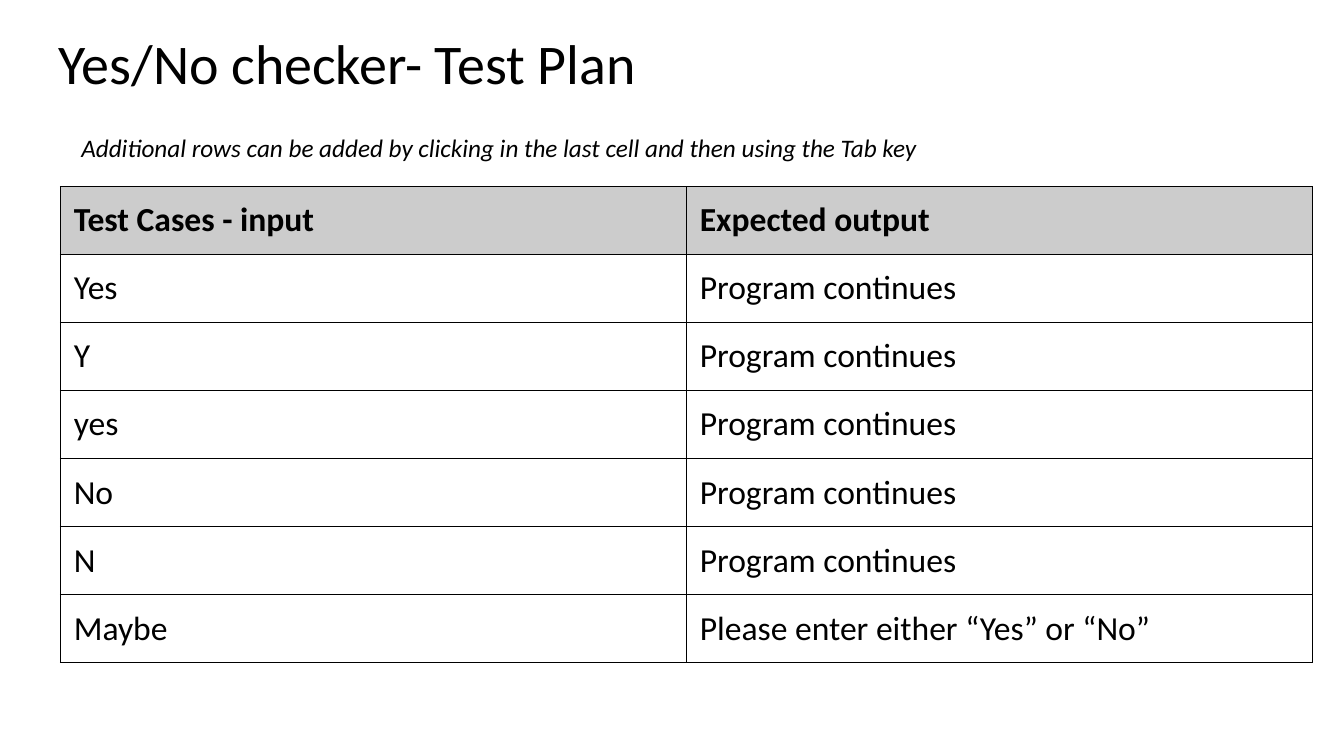
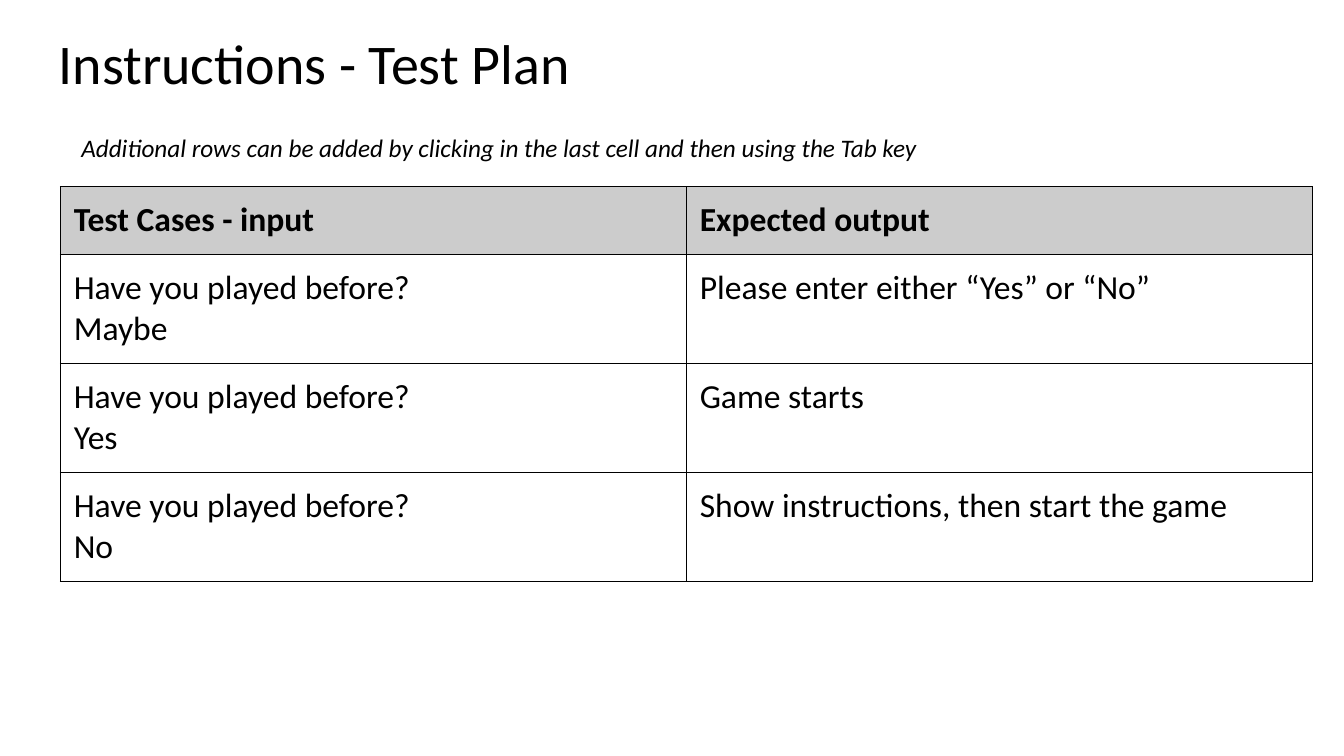
from lxml import etree
from pptx import Presentation
from pptx.dml.color import RGBColor
from pptx.enum.text import MSO_ANCHOR, MSO_AUTO_SIZE, PP_ALIGN
from pptx.oxml.ns import qn
from pptx.util import Cm, Pt

LEFT = PP_ALIGN.LEFT
TOP = MSO_ANCHOR.TOP
MIDDLE = MSO_ANCHOR.MIDDLE
NO_FIT = MSO_AUTO_SIZE.NONE

FONT = "Calibri"
BLACK = "000000"
WHITE = "FFFFFF"
GREY = "CCCCCC"
TITLE_ONLY = 5

WIDTH = 31.55
INSET = 0.34
ROW = 1.71
LINE = 1.03

HINT = ("Additional rows can be added by clicking in the last cell "
        "and then using the Tab key")
HEAD = ("Test Cases - input", "Expected output")
GO_ON = "Program continues"
RETRY = "Please enter either “Yes” or “No”"
ASK = "Have you played before?\n"

PLANS = [
    ("Yes/No checker- Test Plan",
     [(word, GO_ON) for word in ("Yes", "Y", "yes", "No", "N")]
     + [("Maybe", RETRY)]),
    ("Instructions - Test Plan",
     [(ASK + "Maybe", RETRY),
      (ASK + "Yes", "Game starts"),
      (ASK + "No", "Show instructions, then start the game")]),
]


def color(code):
    return RGBColor.from_string(code)


def write(frame, text, size=24, bold=False, italic=False, space=None):
    """Put text in a frame, one paragraph for each line."""
    frame.text = text
    for para in frame.paragraphs:
        para.alignment = LEFT
        para.line_spacing = space
        for run in para.runs:
            font = run.font
            font.name = FONT
            font.size = Pt(size)
            font.bold = bold
            font.italic = italic
            font.color.rgb = color(BLACK)


def pad(item):
    """Give a cell or a text frame the same inset on all sides."""
    item.margin_left = item.margin_right = Cm(INSET)
    item.margin_top = item.margin_bottom = Cm(INSET)


def border(cell, width=0.75):
    props = cell._tc.get_or_add_tcPr()
    for place, side in enumerate(("lnL", "lnR", "lnT", "lnB")):
        line = etree.Element(qn("a:" + side), w=str(Pt(width)))
        fill = etree.SubElement(line, qn("a:solidFill"))
        etree.SubElement(fill, qn("a:srgbClr"), val=BLACK)
        props.insert(place, line)


class Deck:
    def __init__(self):
        self.show = Presentation()
        self.show.slide_width = Cm(33.87)
        self.show.slide_height = Cm(19.05)
        self.slide = None

    def add(self):
        layout = self.show.slide_layouts[TITLE_ONLY]
        self.slide = self.show.slides.add_slide(layout)

    def title(self, text):
        shape = self.slide.shapes.title
        shape.left, shape.top = Cm(1.14), Cm(0.61)
        shape.width, shape.height = Cm(WIDTH), Cm(2.13)
        frame = shape.text_frame
        frame.auto_size = NO_FIT
        frame.vertical_anchor = MIDDLE
        pad(frame)
        write(frame, text, size=40, space=0.9)

    def table(self, rows):
        heights = [ROW + LINE * max(text.count("\n") for text in row)
                   for row in rows]
        grid = self.slide.shapes.add_table(
            len(rows), len(HEAD), Cm(1.52), Cm(4.7),
            Cm(WIDTH), Cm(sum(heights))).table
        grid.horz_banding = False
        grid.first_row = False
        for r, row in enumerate(rows):
            grid.rows[r].height = Cm(heights[r])
            for c, text in enumerate(row):
                self.cell(grid.cell(r, c), text, head=r == 0)

    def cell(self, cell, text, head):
        cell.fill.solid()
        cell.fill.fore_color.rgb = color(GREY if head else WHITE)
        cell.vertical_anchor = TOP
        pad(cell)
        border(cell)
        write(cell.text_frame, text, bold=head)

    def hint(self, text):
        box = self.slide.shapes.add_textbox(
            Cm(1.8), Cm(3.2), Cm(27.79), Cm(1.03))
        box.text_frame.word_wrap = True
        write(box.text_frame, text, size=18, italic=True)


def main():
    deck = Deck()
    for title, cases in PLANS:
        deck.add()
        deck.title(title)
        deck.table([HEAD] + cases)
        deck.hint(HINT)
    deck.show.save("out.pptx")


if __name__ == "__main__":
    main()
